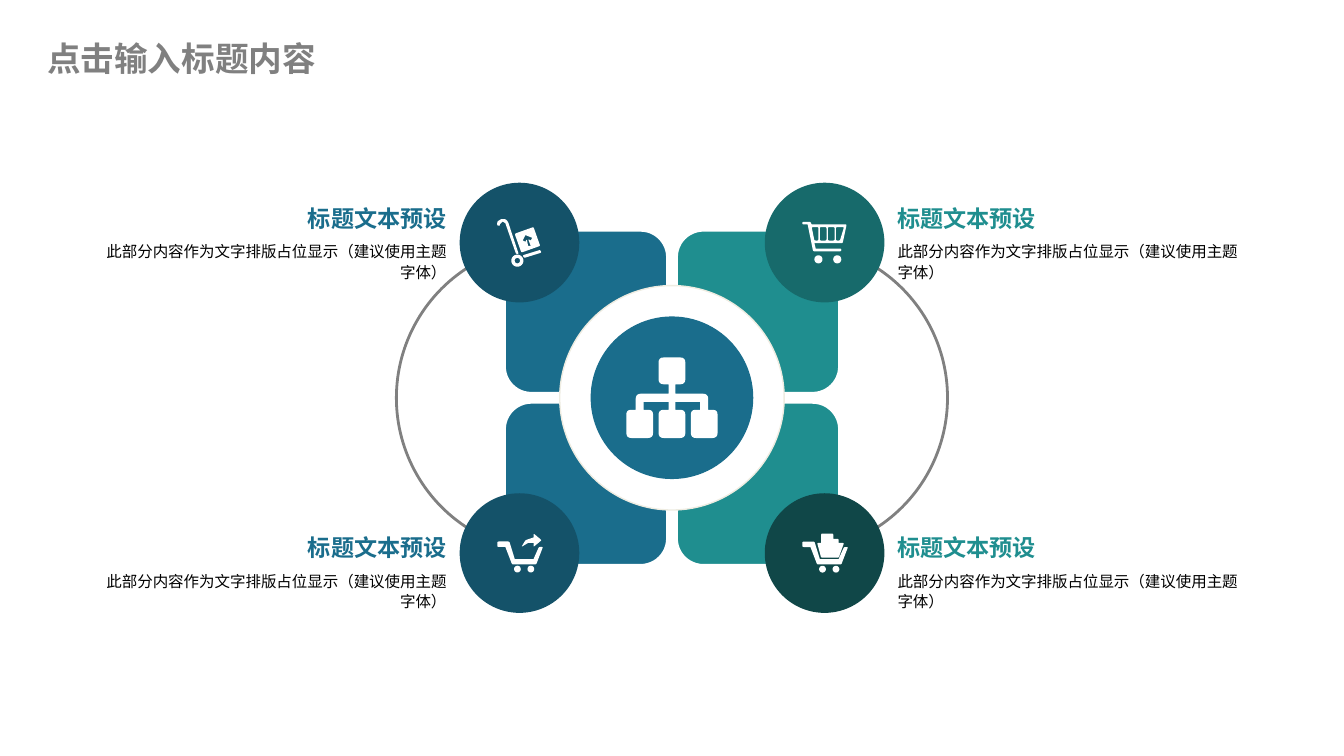
from dataclasses import dataclass
from math import cos, hypot, pi, sin

from pptx import Presentation
from pptx.dml.color import RGBColor
from pptx.enum.lang import MSO_LANGUAGE_ID
from pptx.enum.shapes import MSO_SHAPE
from pptx.enum.text import MSO_ANCHOR, PP_ALIGN
from pptx.util import Inches, Pt

ARC, ELLIPSE, ROUNDED = MSO_SHAPE.ARC, MSO_SHAPE.OVAL, MSO_SHAPE.ROUNDED_RECTANGLE
LEFT, RIGHT = PP_ALIGN.LEFT, PP_ALIGN.RIGHT
MIDDLE = MSO_ANCHOR.MIDDLE
CHINESE = MSO_LANGUAGE_ID.SIMPLIFIED_CHINESE

WHITE = RGBColor(0xFF, 0xFF, 0xFF)
BLACK = RGBColor(0x00, 0x00, 0x00)
GRAY = RGBColor(0x80, 0x80, 0x80)
CREAM = RGBColor(0xEE, 0xEC, 0xE1)
BLUE = RGBColor(0x1A, 0x6D, 0x8C)
DARK_BLUE = RGBColor(0x14, 0x52, 0x69)
TEAL = RGBColor(0x1F, 0x8E, 0x8F)
DARK_TEAL = RGBColor(0x17, 0x6A, 0x6B)
DEEP_TEAL = RGBColor(0x10, 0x47, 0x48)

HEADING = "标题文本预设"
BODY = "此部分内容作为文字排版占位显示（建议使用主题字体）"
SLIDE_WIDTH = Inches(10)
SLIDE_HEIGHT = SLIDE_WIDTH * 9 // 16
CENTER_X, CENTER_Y = 5.0, 2.96
BADGE_SIZE = 0.89
TILE_SIZE = 1.22

Points = list[tuple[float, float]]


@dataclass(frozen=True)
class Icon:
    outlines: list[Points]
    circles: tuple[tuple[float, float, float], ...] = ()
    corner: float = 1


@dataclass(frozen=True)
class Topic:
    badge_left: float
    badge_top: float
    text_left: float
    text_top: float
    tile_left: float
    tile_top: float
    align: PP_ALIGN
    color: RGBColor
    badge_color: RGBColor
    icon: Icon


def box(left: float, top: float, right: float, bottom: float) -> Points:
    return [(left, top), (right, top), (right, bottom), (left, bottom)]


TREE_HALF = [(70, 30), (70, 50), (62.5, 50), (62.5, 57), (87, 57), (87, 69), (94, 69), (94, 90),
             (74, 90), (74, 69), (81, 69), (81, 63), (62.5, 63), (62.5, 69), (70, 69), (70, 90)]
TREE = Icon([TREE_HALF + [(120 - x, y) for x, y in reversed(TREE_HALF)]], corner=4)

HAND_TRUCK = Icon([
    [(41, 38), (55, 33), (60, 47), (46, 52)],
    [(54, 41), (49, 39), (47, 43), (49, 44), (50, 42), (51, 47), (53, 47), (51, 42), (53, 43)],
    [(47, 54), (60, 50), (61, 52), (48, 56)],
    [(28, 32), (28, 29), (31, 27), (34, 27), (36, 29), (44, 53), (42, 53), (34, 30),
     (32, 29), (30, 31), (30, 32)],
], ((43, 58, 4.5), (43, 58, 2)))

CART = Icon([
    [(28, 29), (34, 29), (35, 31), (61, 31), (58, 45), (37, 45), (38, 49), (57, 49),
     (57, 51), (36, 51), (32, 31), (28, 31)],
    [(35, 33), (40, 33), (40, 43), (37, 43)],
    box(41, 33, 46, 43),
    box(47, 33, 52, 43),
    [(53, 33), (59, 33), (56, 43), (53, 43)],
], ((40, 57, 3), (54, 57, 3)))

BASKET = [(28, 36), (37, 36), (41, 49), (55, 49), (59, 40), (62, 40), (57, 53), (39, 53),
          (34, 40), (28, 40)]
BASKET_WHEELS = ((43, 56.5, 2.5), (53, 56.5, 2.5))
SEND_ARROW = [(46, 40), (49, 35), (55, 33), (55, 30), (61, 35), (55, 40), (55, 37), (51, 37)]
LOAD = [(39, 37), (42, 37), (42, 30), (51, 30), (51, 34), (55, 34), (55, 37), (59, 37),
        (55, 48), (42, 48)]

TOPICS = [
    Topic(3.42, 1.36, 0.59, 1.47, 3.75, 1.71, RIGHT, BLUE, DARK_BLUE, HAND_TRUCK),
    Topic(5.69, 1.36, 6.58, 1.47, 5.03, 1.71, LEFT, TEAL, DARK_TEAL, CART),
    Topic(3.42, 3.67, 0.59, 3.92, 3.75, 2.99, RIGHT, BLUE, DARK_BLUE,
          Icon([BASKET, SEND_ARROW], BASKET_WHEELS)),
    Topic(5.69, 3.67, 6.58, 3.92, 5.03, 2.99, LEFT, TEAL, DEEP_TEAL,
          Icon([BASKET, LOAD], BASKET_WHEELS)),
]


def circle(x: float, y: float, radius: float, steps: int = 32) -> Points:
    angles = [2 * pi * step / steps for step in range(steps)]
    return [(x + radius * cos(angle), y + radius * sin(angle)) for angle in angles]


def round_corners(points: Points, radius: float) -> Points:
    result = []
    for index, (x, y) in enumerate(points):
        before, after = points[index - 1], points[(index + 1) % len(points)]
        in_x, in_y = x - before[0], y - before[1]
        out_x, out_y = after[0] - x, after[1] - y
        if in_x * out_y - in_y * out_x <= 0:
            result.append((x, y))
            continue
        start = min(radius / hypot(in_x, in_y), 0.5)
        end = min(radius / hypot(out_x, out_y), 0.5)
        for step in range(5):
            t = step / 4
            back, forward = start * (1 - t) ** 2, end * t ** 2
            result.append((x - in_x * back + out_x * forward, y - in_y * back + out_y * forward))
    return result


def style(shape, fill: RGBColor | None, line: RGBColor | None = None, width: float = 0.75) -> None:
    shape.shadow.inherit = False
    if fill is None:
        shape.fill.background()
    else:
        shape.fill.solid()
        shape.fill.fore_color.rgb = fill
    if line is None:
        shape.line.fill.background()
    else:
        shape.line.color.rgb = line
        shape.line.width = Pt(width)


def add_square(slide, kind: MSO_SHAPE, left: float, top: float, size: float):
    return slide.shapes.add_shape(kind, Inches(left), Inches(top), Inches(size), Inches(size))


def add_centered_circle(slide, size: float, fill: RGBColor, line: RGBColor) -> None:
    shape = add_square(slide, ELLIPSE, CENTER_X - size / 2, CENTER_Y - size / 2, size)
    style(shape, fill, line)


def add_icon(slide, icon: Icon, left: float, top: float) -> None:
    contours = [round_corners(outline, icon.corner) for outline in icon.outlines]
    contours += [circle(*values) for values in icon.circles]
    placed = [[(Inches(left + x / 100), Inches(top + y / 100)) for x, y in contour]
              for contour in contours]
    builder = slide.shapes.build_freeform(*placed[0][0])
    builder.add_line_segments(placed[0][1:], close=True)
    for contour in placed[1:]:
        builder.move_to(*contour[0])
        builder.add_line_segments(contour[1:], close=True)
    style(builder.convert_to_shape(), WHITE)


def write(shape, text: str, color: RGBColor, align: PP_ALIGN, font_format: dict) -> None:
    paragraph = shape.text_frame.paragraphs[0]
    paragraph.alignment = align
    run = paragraph.add_run()
    run.text = text
    run.font.color.rgb = color
    for name, value in font_format.items():
        setattr(run.font, name, value)


def add_topic_text(slide, topic: Topic) -> None:
    left, width = Inches(topic.text_left), Inches(2.83)
    heading = slide.shapes.add_textbox(left, Inches(topic.text_top), width, Inches(0.28))
    heading.text_frame.word_wrap = False
    write(heading, HEADING, topic.color, topic.align,
          {"name": "Calibri", "size": Pt(12.4), "bold": True, "language_id": CHINESE})
    body = slide.shapes.add_textbox(left, Inches(topic.text_top + 0.27), width, Inches(0.4))
    body.text_frame.word_wrap = True
    write(body, BODY, BLACK, topic.align,
          {"name": "Calibri", "size": Pt(8.3), "language_id": CHINESE})
    body.text_frame.paragraphs[0].line_spacing = 1.1


def add_title(slide) -> None:
    title = slide.shapes.title
    for name, value in {"left": 0.35, "top": 0.22, "width": 2.33, "height": 0.42}.items():
        setattr(title, name, Inches(value))
    frame_format = {"margin_left": 0, "margin_right": 0, "margin_top": Inches(0.05),
                    "margin_bottom": Inches(0.05), "vertical_anchor": MIDDLE, "word_wrap": True}
    for name, value in frame_format.items():
        setattr(title.text_frame, name, value)
    write(title, "点击输入标题内容", GRAY, LEFT,
          {"name": "Noto Sans CJK SC", "size": Pt(18), "bold": True, "language_id": CHINESE})


def main() -> None:
    presentation = Presentation()
    presentation.slide_width, presentation.slide_height = SLIDE_WIDTH, SLIDE_HEIGHT
    slide = presentation.slides.add_slide(presentation.slide_layouts[5])
    add_title(slide)
    for left, rotation, start, end in ((2.95, 270, 107.37, 0), (4.75, 90, 180, 72.63)):
        arc = add_square(slide, ARC, left, 1.81, 2.3)
        arc.rotation = rotation
        arc.adjustments[0], arc.adjustments[1] = start * 0.6, end * 0.6
        style(arc, None, GRAY, 1.5)
    for topic in TOPICS:
        tile = add_square(slide, ROUNDED, topic.tile_left, topic.tile_top, TILE_SIZE)
        style(tile, topic.color, WHITE, 2)
    add_centered_circle(slide, 1.67, WHITE, CREAM)
    add_centered_circle(slide, 1.2, BLUE, BLUE)
    add_icon(slide, TREE, CENTER_X - 0.6, CENTER_Y - 0.6)
    for topic in TOPICS:
        badge = add_square(slide, ELLIPSE, topic.badge_left, topic.badge_top, BADGE_SIZE)
        style(badge, topic.badge_color)
        add_icon(slide, topic.icon, topic.badge_left, topic.badge_top)
        add_topic_text(slide, topic)
    presentation.save("out.pptx")


if __name__ == "__main__":
    main()
